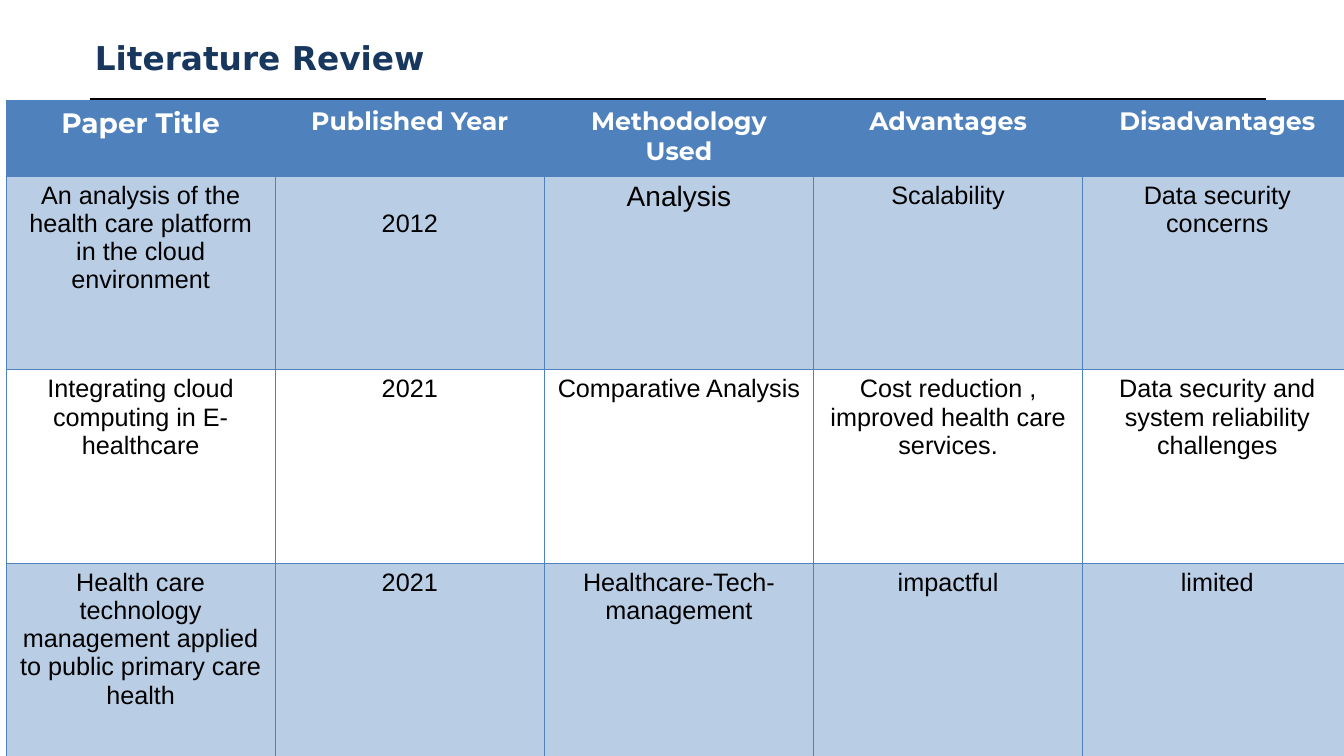
from lxml import etree
from pptx import Presentation
from pptx.dml.color import RGBColor
from pptx.enum.shapes import MSO_CONNECTOR
from pptx.enum.text import MSO_ANCHOR, PP_ALIGN
from pptx.oxml import parse_xml
from pptx.oxml.ns import nsdecls, qn
from pptx.util import Inches, Pt

STRAIGHT = MSO_CONNECTOR.STRAIGHT
MIDDLE = MSO_ANCHOR.MIDDLE
LEFT, CENTER = PP_ALIGN.LEFT, PP_ALIGN.CENTER

COLORS = {
    "title": "17375E",
    "accent": "4F81BD",
    "band": "B9CDE5",
    "white": "FFFFFF",
    "black": "000000",
}
TITLE_FORMAT = {"name": "DejaVu Sans", "size": Pt(23.4), "bold": True}
HEADER_FORMAT = {"name": "Montserrat", "size": Pt(18), "bold": True}
BODY_FORMAT = {"name": "Arial", "size": Pt(18), "bold": False}
LARGE_CELLS = {(0, 0), (1, 2)}
LOWERED_CELL = (1, 1)
PAPERS = [
    ["Paper Title", "Published Year", "Methodology Used", "Advantages", "Disadvantages"],
    ["An analysis of the health care platform in the cloud environment", "2012",
     "Analysis", "Scalability", "Data security concerns"],
    ["Integrating cloud computing in E-healthcare", "2021", "Comparative Analysis",
     "Cost reduction , improved health care services.",
     "Data security and system reliability challenges"],
    ["Health care technology management applied to public primary care health", "2021",
     "Healthcare-Tech-management", "impactful", "limited"],
]


class SlideBuilder:
    """Holds the colours and the current slide, and adds each kind of element."""

    def __init__(self, slide, colors):
        self.slide = slide
        self.colors = colors

    def color(self, name):
        return RGBColor.from_string(self.colors[name])

    def add_text(self, frame, text, formats, color, alignment):
        paragraph = frame.paragraphs[0]
        paragraph.alignment = alignment
        run = paragraph.add_run()
        run.text = text
        for attribute, value in formats.items():
            setattr(run.font, attribute, value)
        run.font.color.rgb = self.color(color)

    def add_title(self, text, left, top, width, height):
        title = self.slide.shapes.title
        place = {"left": left, "top": top, "width": width, "height": height}
        for attribute, value in place.items():
            setattr(title, attribute, Inches(value))
        frame = title.text_frame
        margins = dict.fromkeys(
            ("margin_left", "margin_top", "margin_right", "margin_bottom"), Inches(0.05))
        for attribute, value in margins.items():
            setattr(frame, attribute, value)
        frame.vertical_anchor = MIDDLE
        self.add_text(frame, text, TITLE_FORMAT, "title", LEFT)

    def add_rule(self, left, right, top):
        rule = self.slide.shapes.add_connector(
            STRAIGHT, Inches(left), Inches(top), Inches(right), Inches(top))
        rule.line.color.rgb = self.color("black")
        rule.line.width = Pt(4.5)
        etree.SubElement(rule._element.spPr, qn("a:effectLst"))

    def add_borders(self, cell):
        properties = cell._tc.get_or_add_tcPr()
        for side in ("lnL", "lnR", "lnT", "lnB"):
            properties.append(parse_xml(
                f'<a:{side} {nsdecls("a")} w="{Pt(0.75)}"><a:solidFill>'
                f'<a:srgbClr val="{self.colors["accent"]}"/></a:solidFill></a:{side}>'))

    def fill_cell(self, cell, row):
        if row == 0 or row % 2:
            cell.fill.solid()
            cell.fill.fore_color.rgb = self.color("band" if row else "accent")
        else:
            cell.fill.background()

    def add_table(self, rows, left, top, column_width, heights):
        count = len(rows[0])
        table = self.slide.shapes.add_table(
            len(rows), count, Inches(left), Inches(top),
            Inches(column_width * count), Inches(sum(heights))).table
        for column in table.columns:
            column.width = Inches(column_width)
        for row, texts in enumerate(rows):
            table.rows[row].height = Inches(heights[row])
            for column, text in enumerate(texts):
                cell = table.cell(row, column)
                self.add_borders(cell)
                self.fill_cell(cell, row)
                formats = dict(BODY_FORMAT if row else HEADER_FORMAT)
                if (row, column) in LARGE_CELLS:
                    formats["size"] = Pt(20)
                if (row, column) == LOWERED_CELL:
                    cell.margin_top = Inches(0.33)
                self.add_text(cell.text_frame, text, formats,
                              "black" if row else "white", CENTER)


def main():
    presentation = Presentation()
    presentation.slide_width = Inches(13.33)
    presentation.slide_height = Inches(7.5)
    slide = presentation.slides.add_slide(presentation.slide_layouts[5])
    builder = SlideBuilder(slide, COLORS)
    builder.add_title("Literature Review", 0.89, 0.3, 11.67, 0.53)
    builder.add_rule(0.89, 12.56, 1)
    builder.add_table(PAPERS, 0.06, 1, 2.67, [0.75, 1.92, 1.92, 1.92])
    presentation.save("out.pptx")


if __name__ == "__main__":
    main()
